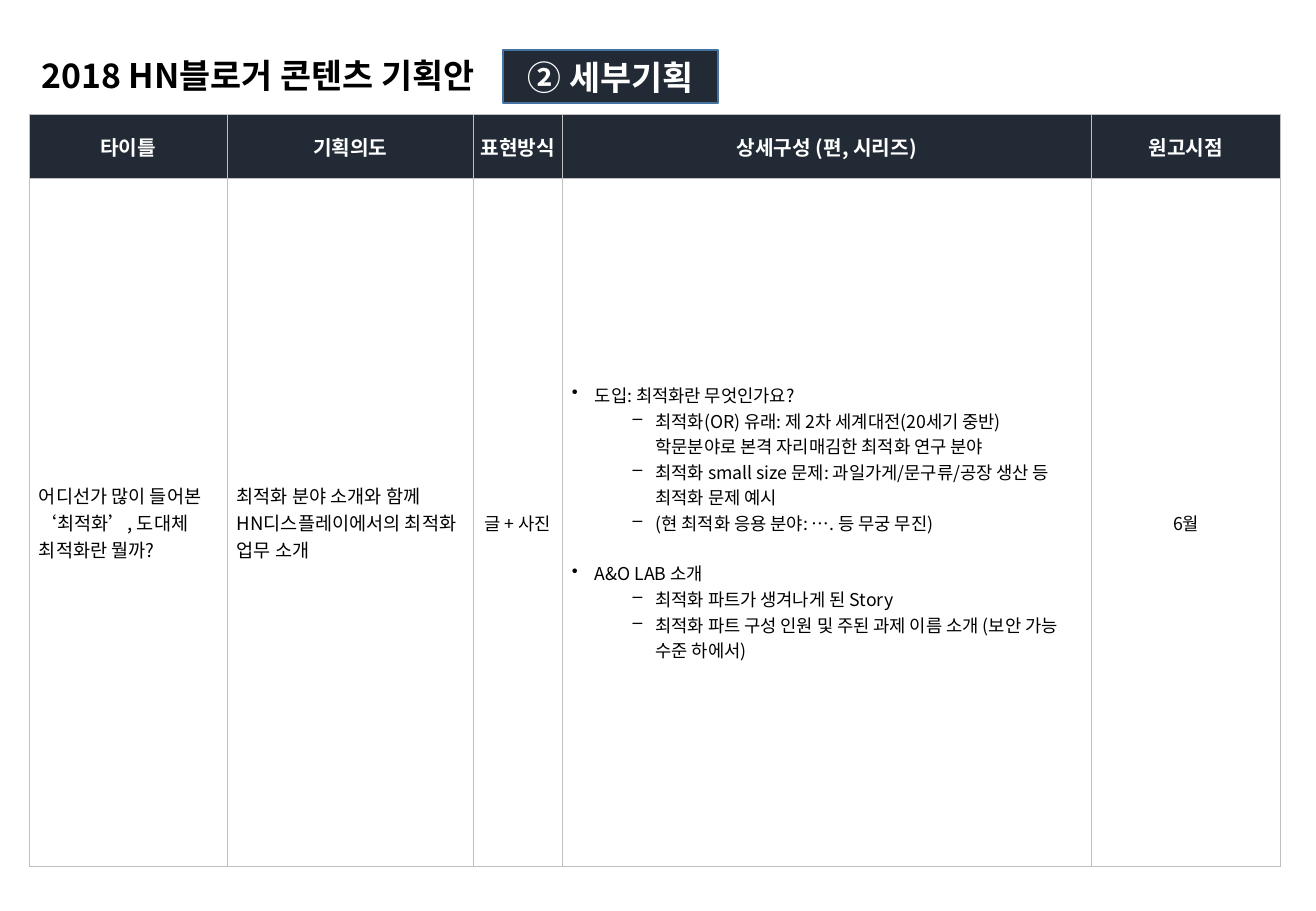
from lxml import etree
from pptx import Presentation
from pptx import util as u
from pptx.dml.color import RGBColor
from pptx.enum import shapes, text
from pptx.oxml import ns

FONT = "Noto Sans CJK KR"
COLORS = {"navy": "222B35", "blue": "43739E", "grid": "BFBFBF",
          "white": "FFFFFF", "black": "000000"}
LEFT, CENTER = text.PP_ALIGN.LEFT, text.PP_ALIGN.CENTER

COLUMNS = [1.63, 2.03, 0.73, 4.36, 1.56]
ROWS = [0.53, 5.66]
HEADERS = ["타이틀", "기획의도", "표현방식", "상세구성 (편, 시리즈)", "원고시점"]
SUMMARY = {  # column: (lines, size, alignment)
    0: (["어디선가 많이 들어본 ‘최적화’, 도대체 최적화란 뭘까?"], 11, LEFT),
    1: (["최적화 분야 소개와 함께", "HN디스플레이에서의 최적화 업무 소개"], 11, LEFT),
    2: (["글 + 사진"], 10.5, CENTER),
    4: (["6월"], 10.5, CENTER),
}
OUTLINE_COLUMN = 3
OUTLINE = [
    ("도입: 최적화란 무엇인가요?", [
        "최적화(OR) 유래: 제 2차 세계대전(20세기 중반) 학문분야로 본격 자리매김한 최적화 연구 분야",
        "최적화 small size 문제: 과일가게/문구류/공장 생산 등 최적화 문제 예시",
        "(현 최적화 응용 분야: …. 등 무궁 무진)"]),
    ("A&O LAB 소개", [
        "최적화 파트가 생겨나게 된 Story",
        "최적화 파트 구성 인원 및 주된 과제 이름 소개 (보안 가능 수준 하에서)"]),
]


def color(name):
    """Return the named colour."""
    return RGBColor.from_string(COLORS[name])


def paint(target, name):
    """Fill a shape or a cell with a solid colour."""
    target.fill.solid()
    target.fill.fore_color.rgb = color(name)


def write(frame, lines, size, ink="black", bold=False, align=LEFT):
    """Write one paragraph per line, all in the same format."""
    frame.text = "\n".join(lines)
    frame.word_wrap = True
    for para in frame.paragraphs:
        para.alignment = align
        font = para.font
        font.name, font.size, font.bold = FONT, u.Pt(size), bold
        font.color.rgb = color(ink)
        latin = para._p.pPr.find(ns.qn("a:defRPr")).find(ns.qn("a:latin"))
        latin.addnext(latin.makeelement(ns.qn("a:ea"), {"typeface": FONT}))


def add_bullet(para, mark, margin):
    """Give a paragraph a bullet with a hanging indent."""
    props = para._p.get_or_add_pPr()
    props.set("marL", str(u.Inches(margin)))
    props.set("indent", str(u.Inches(-0.19)))
    bullet = props.makeelement(ns.qn("a:buChar"), {"char": mark})
    props.find(ns.qn("a:defRPr")).addprevious(bullet)


def add_borders(cell):
    """Draw a thin line on each side of a cell."""
    props = cell._tc.get_or_add_tcPr()
    for index, side in enumerate(("lnL", "lnR", "lnT", "lnB")):
        line = props.makeelement(ns.qn("a:" + side), {"w": str(u.Pt(0.5))})
        fill = etree.SubElement(line, ns.qn("a:solidFill"))
        etree.SubElement(fill, ns.qn("a:srgbClr"), val=COLORS["grid"])
        props.insert(index, line)


def format_cell(cell, fill, inset):
    """Set a cell's fill, borders, margins and anchor."""
    paint(cell, fill)
    add_borders(cell)
    cell.vertical_anchor = text.MSO_ANCHOR.MIDDLE
    cell.margin_left = cell.margin_right = u.Inches(inset)
    cell.margin_top = cell.margin_bottom = u.Inches(inset)


def write_outline(frame):
    """Write the topics and their points as a two-level list."""
    items = []
    for topic, points in OUTLINE:
        items += [(topic, 0)] + [(point, 1) for point in points]
    write(frame, [line for line, level in items], 10.5)
    for index, (para, (line, level)) in enumerate(zip(frame.paragraphs, items)):
        para.level = level
        add_bullet(para, "•–"[level], 0.19 + 0.5 * level)
        if index and level == 0:
            para.space_before = u.Pt(15)


def add_heading(page, left, top, width, height):
    """Place the title and, at the right end of the box, the section badge."""
    title = page.shapes.title
    title.left, title.top = u.Inches(left), u.Inches(top)
    title.width, title.height = u.Inches(width), u.Inches(height)
    title.text_frame.auto_size = text.MSO_AUTO_SIZE.NONE
    title.text_frame.vertical_anchor = text.MSO_ANCHOR.MIDDLE
    write(title.text_frame, ["2018 HN블로거 콘텐츠 기획안"], 20, bold=True)

    badge_width = 1.77
    badge = page.shapes.add_shape(
        shapes.MSO_SHAPE.RECTANGLE, u.Inches(left + width - badge_width),
        u.Inches(top + 0.01), u.Inches(badge_width), u.Inches(height))
    badge.shadow.inherit = False
    paint(badge, "navy")
    badge.line.color.rgb = color("blue")
    badge.line.width = u.Pt(1)
    badge.text_frame.vertical_anchor = text.MSO_ANCHOR.MIDDLE
    write(badge.text_frame, ["② 세부기획"], 20, "white", True, CENTER)


def add_plan(page, left, top, width, height):
    """Place the plan table: a header row and one row of content."""
    table = page.shapes.add_table(
        len(ROWS), len(COLUMNS), u.Inches(left), u.Inches(top),
        u.Inches(width), u.Inches(height)).table
    table.first_row = table.horz_banding = False
    for row, size in zip(table.rows, ROWS):
        row.height = u.Inches(height * size / sum(ROWS))
    for column, size in zip(table.columns, COLUMNS):
        column.width = u.Inches(width * size / sum(COLUMNS))

    for index, header in enumerate(HEADERS):
        head, body = table.cell(0, index), table.cell(1, index)
        format_cell(head, "navy", 0.01)
        write(head.text_frame, [header], 12, "white", True, CENTER)
        format_cell(body, "white", 0.08)
        if index == OUTLINE_COLUMN:
            write_outline(body.text_frame)
        else:
            lines, size, align = SUMMARY[index]
            write(body.text_frame, lines, size, align=align)


def main():
    """Build and save the deck."""
    deck = Presentation()
    deck.slide_width, deck.slide_height = u.Inches(10.83), u.Inches(7.5)
    page = deck.slides.add_slide(deck.slide_layouts[5])
    add_plan(page, 0.24, 0.94, 10.3, 6.19)
    add_heading(page, 0.24, 0.4, 5.67, 0.44)
    deck.save("out.pptx")


main()
